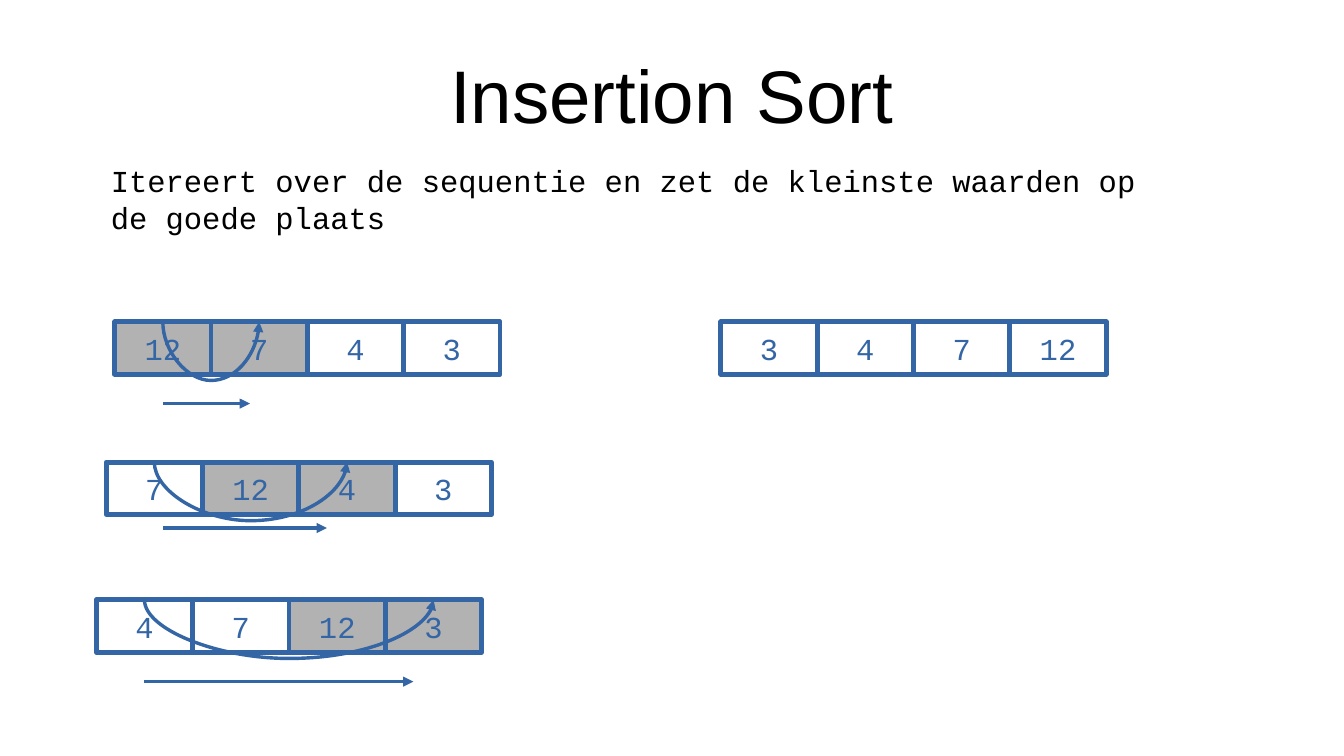
from dataclasses import dataclass

from lxml import etree
from pptx import Presentation
from pptx.dml.color import RGBColor
from pptx.enum.shapes import MSO_CONNECTOR as Conn, MSO_SHAPE as Shape
from pptx.enum.text import MSO_ANCHOR as Anchor, PP_ALIGN as Align
from pptx.oxml.ns import qn
from pptx.util import Emu, Inches, Pt


@dataclass(frozen=True)
class Theme:
    blue: RGBColor = RGBColor(0x34, 0x65, 0xA4)
    gray: RGBColor = RGBColor(0xB2, 0xB2, 0xB2)
    black: RGBColor = RGBColor(0, 0, 0)
    heading: str = "Arial"
    mono: str = "Courier New"
    title_size: int = 44
    body_size: int = 18
    border: float = 2.83


THEME = Theme()
CELL_W, CELL_H = 0.79, 0.43
CURVE_DEPTH = 0.24
CURVE_BASE = Emu(360)  # a curve bends relative to its width, so it needs some

# Left, top, values, highlighted cells
SORT_STEPS = [
    (0.94, 2.64, (12, 7, 4, 3), (0, 1)),
    (0.87, 3.79, (7, 12, 4, 3), (1, 2)),
    (0.79, 4.92, (4, 7, 12, 3), (2, 3)),
]
SORTED_ROW = (5.91, 2.64, (3, 4, 7, 12), ())

# Start, end, height of the arrow below each step
STEP_ARROWS = [(1.34, 2.05, 3.31), (1.34, 2.68, 4.33), (1.18, 3.39, 5.59)]


def set_text(tf, text, font, size, color, align, margins):
    tf.text = text
    tf.margin_left = tf.margin_right = Inches(margins[0])
    tf.margin_top = tf.margin_bottom = Inches(margins[1])
    for p in tf.paragraphs:
        p.alignment = align
        for r in p.runs:
            r.font.name, r.font.size = font, Pt(size)
            r.font.color.rgb = color


def add_text(s, box, text, font, size, align, margins, anchor, wrap):
    tf = s.shapes.add_textbox(*map(Inches, box)).text_frame
    tf.word_wrap, tf.vertical_anchor = wrap, anchor
    set_text(tf, text, font, size, THEME.black, align, margins)


def add_cell(s, left, top, value, marked):
    sp = s.shapes.add_shape(Shape.RECTANGLE, *map(Inches, (left, top, CELL_W, CELL_H)))
    sp.shadow.inherit = False
    if marked:
        sp.fill.solid()
        sp.fill.fore_color.rgb = THEME.gray
    else:
        sp.fill.background()
    sp.line.color.rgb, sp.line.width = THEME.blue, Pt(THEME.border)
    set_text(sp.text_frame, str(value), THEME.mono, THEME.body_size,
             THEME.blue, Align.CENTER, (0.12, 0.07))


def add_row(s, left, top, values, marked):
    for i, value in enumerate(values):
        add_cell(s, left + i * CELL_W, top, value, i in marked)


def add_arrow(s, kind, x1, y1, x2, y2):
    arrow = s.shapes.add_connector(kind, *map(Inches, (x1, y1, x2, y2)))
    arrow.line.color.rgb, arrow.line.width = THEME.blue, Pt(0)
    etree.SubElement(arrow.line._get_or_add_ln(), qn("a:tailEnd"), type="triangle")
    etree.SubElement(arrow._element.spPr, qn("a:effectLst"))
    return arrow


def add_swap_curve(s, x1, x2, y):
    """Curve that hangs below y, from x1 to x2: a quarter-turned connector."""
    span, middle = x2 - x1, (x1 + x2) / 2
    curve = add_arrow(s, Conn.CURVE, middle, y - span / 2, middle, y + span / 2)
    curve.width = CURVE_BASE
    sp_pr = curve._element.spPr
    sp_pr.find(qn("a:xfrm")).set("rot", str(270 * 60000))
    guides = sp_pr.find(qn("a:prstGeom")).get_or_add_avLst()
    bend = -round(Inches(CURVE_DEPTH) / CURVE_BASE * 100000)
    etree.SubElement(guides, qn("a:gd"), name="adj1", fmla=f"val {bend}")


def main():
    prs = Presentation()
    prs.slide_width, prs.slide_height = Inches(11.02), Inches(6.2)
    s = prs.slides.add_slide(prs.slide_layouts[6])

    # Title and explanation
    add_text(s, (0.55, 0.25, 9.92, 1.04), "Insertion Sort", THEME.heading,
             THEME.title_size, Align.CENTER, (0, 0), Anchor.MIDDLE, True)
    add_text(s, (0.81, 1.28, 8.78, 0.76),
             "Itereert over de sequentie en zet de kleinste waarden op\nde goede plaats",
             THEME.mono, THEME.body_size, Align.LEFT, (0.1, 0.05), Anchor.TOP, False)

    # Sorting steps: the curve runs from the first cell to the last marked one
    for left, top, values, marked in SORT_STEPS:
        add_row(s, left, top, values, marked)
        first = left + CELL_W / 2
        add_swap_curve(s, first, first + marked[-1] * CELL_W, top)
    for start, end, y in STEP_ARROWS:
        add_arrow(s, Conn.STRAIGHT, start, y, end, y)

    # Result
    add_row(s, *SORTED_ROW)

    prs.save("out.pptx")


if __name__ == "__main__":
    main()
